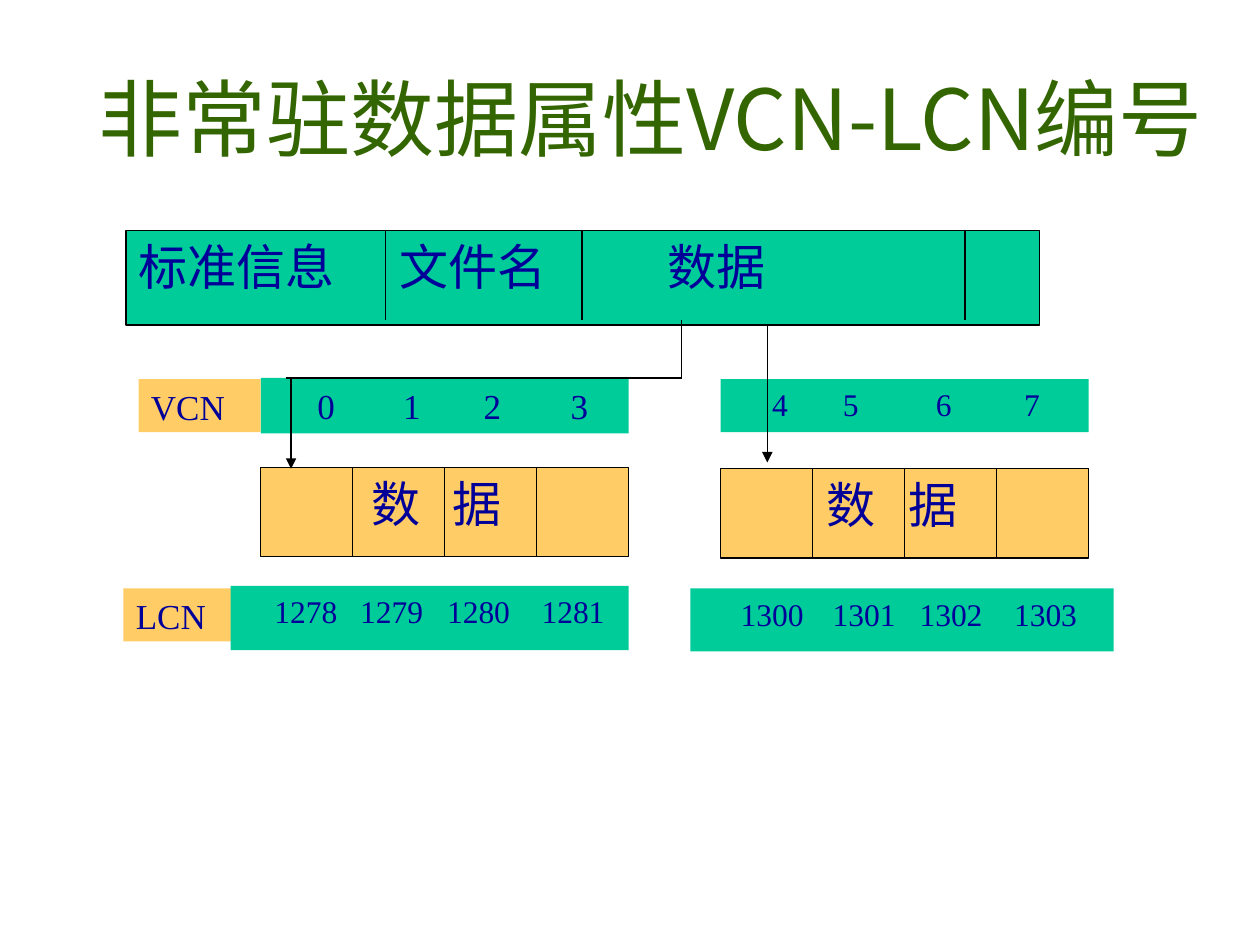
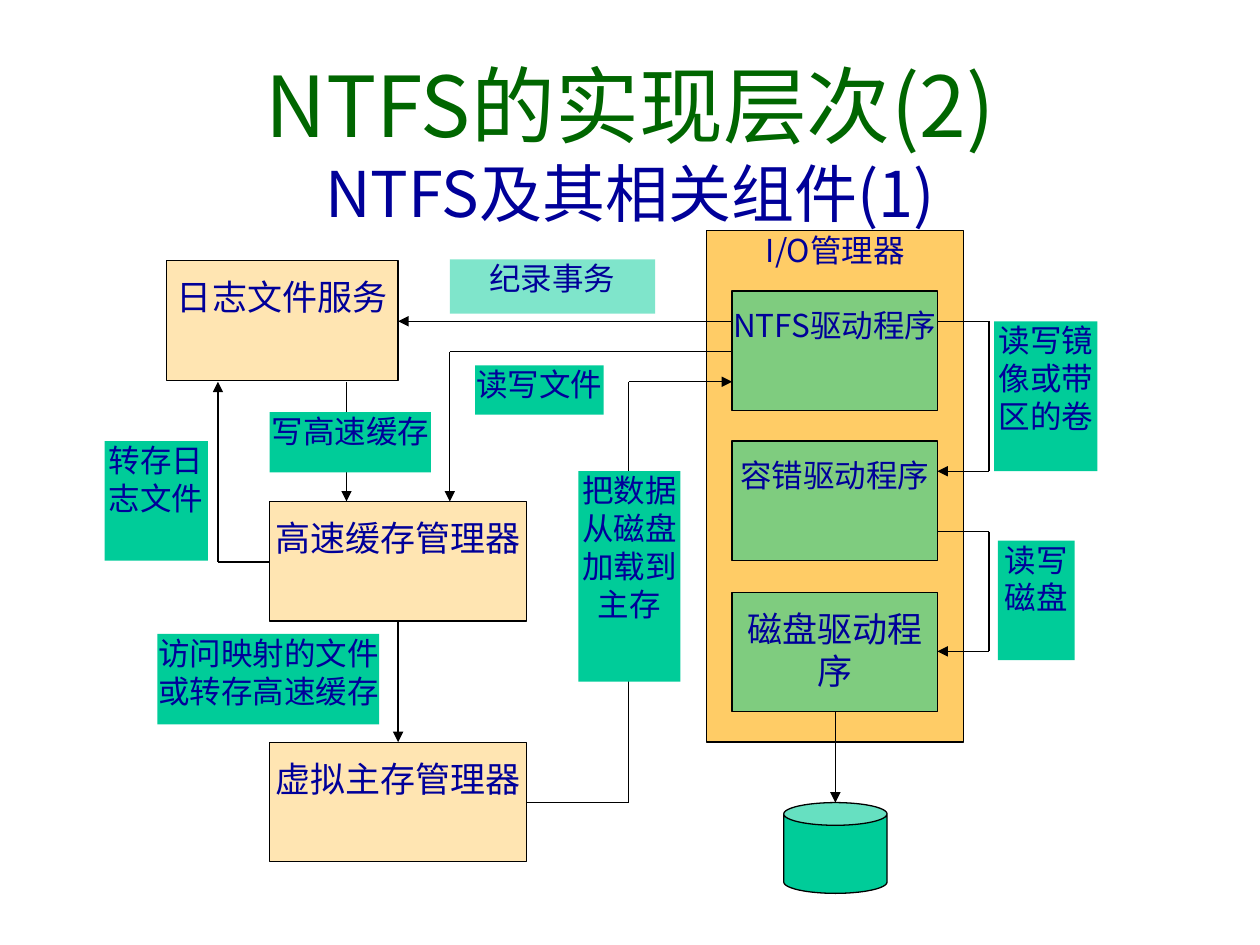
from lxml import etree
from pptx import Presentation
from pptx.dml.color import RGBColor
from pptx.enum.shapes import MSO_CONNECTOR, MSO_SHAPE
from pptx.enum.text import MSO_ANCHOR, PP_ALIGN
from pptx.oxml.ns import qn
from pptx.util import Inches, Pt

RECT, CAN = MSO_SHAPE.RECTANGLE, MSO_SHAPE.CAN
STRAIGHT = MSO_CONNECTOR.STRAIGHT
LEFT, CENTER = PP_ALIGN.LEFT, PP_ALIGN.CENTER
TOP, MIDDLE = MSO_ANCHOR.TOP, MSO_ANCHOR.MIDDLE

TEAL = RGBColor(0x00, 0xCC, 0x99)
ORANGE = RGBColor(0xFF, 0xCC, 0x66)
NAVY = RGBColor(0x00, 0x00, 0x99)
OLIVE = RGBColor(0x33, 0x66, 0x00)
GREEN = RGBColor(0x00, 0x66, 0x00)
BLACK = RGBColor(0x00, 0x00, 0x00)

SANS, SERIF = "Noto Sans CJK JP", "Times New Roman"
INSET = (0.1, 0.05, 0.1, 0.05)
NO_INSET = (0, 0, 0, 0)
NODE_INSET = (0, 0.12, 0, 0)

VCN_TITLE = [("非常驻数据属性VCN-LCN编号", 48, OLIVE)]
LAYER_TITLE = [("NTFS的实现层次(2)", 48, GREEN), ("NTFS及其相关组件(1)", 36, NAVY)]

RECORD = (1, 1.83, 7.25, 0.75)
RECORD_FIELDS = ["标准信息", "文件名", "数据"]
RECORD_TABS = [2.07, 4.2]
RECORD_DIVIDERS = [3.06, 4.62, 7.66]

RUNS = [
    ((2.07, 3.71, 2.92, 0.71), [0.78, 1.42]),
    ((5.72, 3.72, 2.92, 0.71), [0.74, 1.39]),
]
CLUSTERS_PER_RUN = 4

NUMBER_STRIPS = [
    ((2.07, 3, 2.92, 0.44), 20, range(0, 4), [0.35, 1.03, 1.67, 2.36]),
    ((5.72, 3.01, 2.92, 0.42), 18, range(4, 8), [0.31, 0.87, 1.61, 2.31]),
    ((1.83, 4.65, 3.16, 0.51), 18, range(1278, 1282), [0.25, 0.93, 1.62, 2.37]),
    ((5.48, 4.67, 3.36, 0.5), 18, range(1300, 1304), [0.3, 1.03, 1.72, 2.47]),
]
ROW_LABELS = [("VCN", (1.1, 3.01, 0.97, 0.42)), ("LCN", (0.98, 4.67, 0.97, 0.42))]
RUN_LINKS = [
    ([(5.41, 2.54), (5.41, 3.01)], False),
    ([(2.27, 3), (5.41, 3)], False),
    ([(2.31, 3.01), (2.31, 3.72)], True),
    ([(6.09, 2.58), (6.09, 3.67)], True),
]

IO_MANAGER = ("I/O管理器", (5.61, 1.83, 2.04, 4.06))
NODE_H = 0.95
DRIVERS = [("NTFS驱动程序", 2.31, 18), ("容错驱动程序", 3.5, 18), ("磁盘驱动程序", 4.7, 20)]
SERVICES = [
    ("日志文件服务", 1.32, 2.07, 1.84),
    ("高速缓存管理器", 2.14, 3.98, 2.04),
    ("虚拟主存管理器", 2.14, 5.89, 2.04),
]
DISK = (6.22, 6.37, 0.82, 0.72)
FLOWS = [
    [(7.44, 2.55), (7.85, 2.55), (7.85, 3.74), (7.44, 3.74)],
    [(7.44, 4.22), (7.85, 4.22), (7.85, 5.17), (7.44, 5.17)],
    [(6.63, 5.65), (6.63, 6.37)],
    [(5.81, 2.55), (3.16, 2.55)],
    [(5.81, 2.79), (3.57, 2.79), (3.57, 3.98)],
    [(2.75, 3.03), (2.75, 3.98)],
    [(3.16, 4.94), (3.16, 5.89)],
    [(4.18, 6.37), (4.99, 6.37), (4.99, 3.03), (5.81, 3.03)],
    [(2.14, 4.46), (1.73, 4.46), (1.73, 3.03)],
]
FLOW_LABELS = [
    (["纪录事务"], (3.57, 2.06, 1.63, 0.43), 50),
    (["读写文件"], (3.77, 2.9, 1.02, 0.39), 100),
    (["把数据", "从磁盘", "加载到", "主存"], (4.59, 3.74, 0.81, 1.67), 100),
    (["写高速缓存"], (2.14, 3.27, 1.28, 0.48), 100),
    (["访问映射的文件或转存高速缓存"], (1.25, 5.03, 1.76, 0.72), 100),
    (["转存日", "志文件"], (0.83, 3.5, 0.82, 0.95), 100),
    (["读写镜像或带区的卷"], (7.89, 2.55, 0.82, 1.19), 100),
    (["读写", "磁盘"], (7.92, 4.29, 0.61, 0.95), 100),
]


def write(s, lines, font=SANS, align=CENTER, anchor=TOP, inset=INSET, tabs=()):
    tf = s.text_frame
    margins = zip(("left", "top", "right", "bottom"), inset)
    settings = {f"margin_{side}": Inches(v) for side, v in margins}
    settings.update(word_wrap=True, vertical_anchor=anchor)
    for name, value in settings.items():
        setattr(tf, name, value)
    for i, (text, size, color) in enumerate(lines):
        p = tf.add_paragraph() if i else tf.paragraphs[0]
        p.alignment = align
        if tabs:
            tab_list = etree.SubElement(p._p.get_or_add_pPr(), qn("a:tabLst"))
            for pos in tabs:
                etree.SubElement(tab_list, qn("a:tab"), pos=str(Inches(pos)), algn="l")
        r = p.add_run()
        r.text = text
        for name, value in {"name": font, "size": Pt(size)}.items():
            setattr(r.font, name, value)
        r.font.color.rgb = color
        etree.SubElement(r._r.get_or_add_rPr(), qn("a:ea"), typeface=font)


def add_title(slide, box, lines, inset=INSET):
    s = slide.shapes.add_textbox(*map(Inches, box))
    write(s, lines, anchor=MIDDLE, inset=inset)


def add_box(slide, box, fill, outlined=True, opacity=100, kind=RECT):
    s = slide.shapes.add_shape(kind, *map(Inches, box))
    s.shadow.inherit = False
    s.fill.solid()
    s.fill.fore_color.rgb = fill
    if opacity < 100:
        color = s.fill._xPr.find(".//" + qn("a:srgbClr"))
        etree.SubElement(color, qn("a:alpha"), val=str(opacity * 1000))
    if outlined:
        s.line.color.rgb = BLACK
        s.line.width = Pt(0.75)
    else:
        s.line.fill.background()
    return s


def add_route(slide, points, arrow=False):
    for start, end in zip(points, points[1:]):
        c = slide.shapes.add_connector(STRAIGHT, *map(Inches, start + end))
        c.line.color.rgb = BLACK
        c.line.width = Pt(0.75)
        if arrow and end == points[-1]:
            etree.SubElement(c.line._get_or_add_ln(), qn("a:tailEnd"), type="triangle")
        etree.SubElement(c._element.spPr, qn("a:effectLst"))


def add_dividers(slide, xs, top, height):
    for x in xs:
        add_route(slide, [(x, top), (x, top + height)])


def build_vcn_slide(slide):
    add_title(slide, (0.25, 0.58, 9.83, 1.08), VCN_TITLE, (0.1, 0.05, 0.1, 0.43))
    write(add_box(slide, RECORD, TEAL), [("\t".join(RECORD_FIELDS), 28, NAVY)],
          align=LEFT, tabs=RECORD_TABS)
    add_dividers(slide, RECORD_DIVIDERS, RECORD[1], 0.71)
    for text, box in ROW_LABELS:
        write(add_box(slide, box, ORANGE, False), [(text, 20, NAVY)], SERIF, LEFT)
    for box, tabs in RUNS:
        write(add_box(slide, box, ORANGE), [("\t数\t据", 28, NAVY)], align=LEFT, tabs=tabs)
        left, top, width, height = box
        step = width / CLUSTERS_PER_RUN
        add_dividers(slide, [left + step * i for i in range(1, CLUSTERS_PER_RUN)], top, height)
    for box, size, numbers, tabs in NUMBER_STRIPS:
        text = "".join(f"\t{n}" for n in numbers)
        write(add_box(slide, box, TEAL, False), [(text, size, NAVY)], SERIF, LEFT, tabs=tabs)
    for points, arrow in RUN_LINKS:
        add_route(slide, points, arrow)


def build_layer_slide(slide):
    add_title(slide, (0.75, 0.5, 8.5, 1.25), LAYER_TITLE)
    name, box = IO_MANAGER
    write(add_box(slide, box, ORANGE), [(name, 18, NAVY)], inset=NO_INSET)
    nodes = [(text, (5.81, top, 1.63, NODE_H), size, TEAL) for text, top, size in DRIVERS]
    nodes += [(text, (x, y, w, NODE_H), 20, ORANGE) for text, x, y, w in SERVICES]
    for text, box, size, fill in nodes:
        write(add_box(slide, box, fill, opacity=50), [(text, size, NAVY)], inset=NODE_INSET)
    add_box(slide, DISK, TEAL, kind=CAN)
    for points in FLOWS:
        add_route(slide, points, True)
    for lines, box, opacity in FLOW_LABELS:
        write(add_box(slide, box, TEAL, False, opacity),
              [(text, 18, NAVY) for text in lines], inset=NO_INSET)


def main():
    prs = Presentation()
    prs.slide_width, prs.slide_height = Inches(10), Inches(7.5)
    for build in (build_vcn_slide, build_layer_slide):
        build(prs.slides.add_slide(prs.slide_layouts[6]))
    prs.save("out.pptx")


if __name__ == "__main__":
    main()
